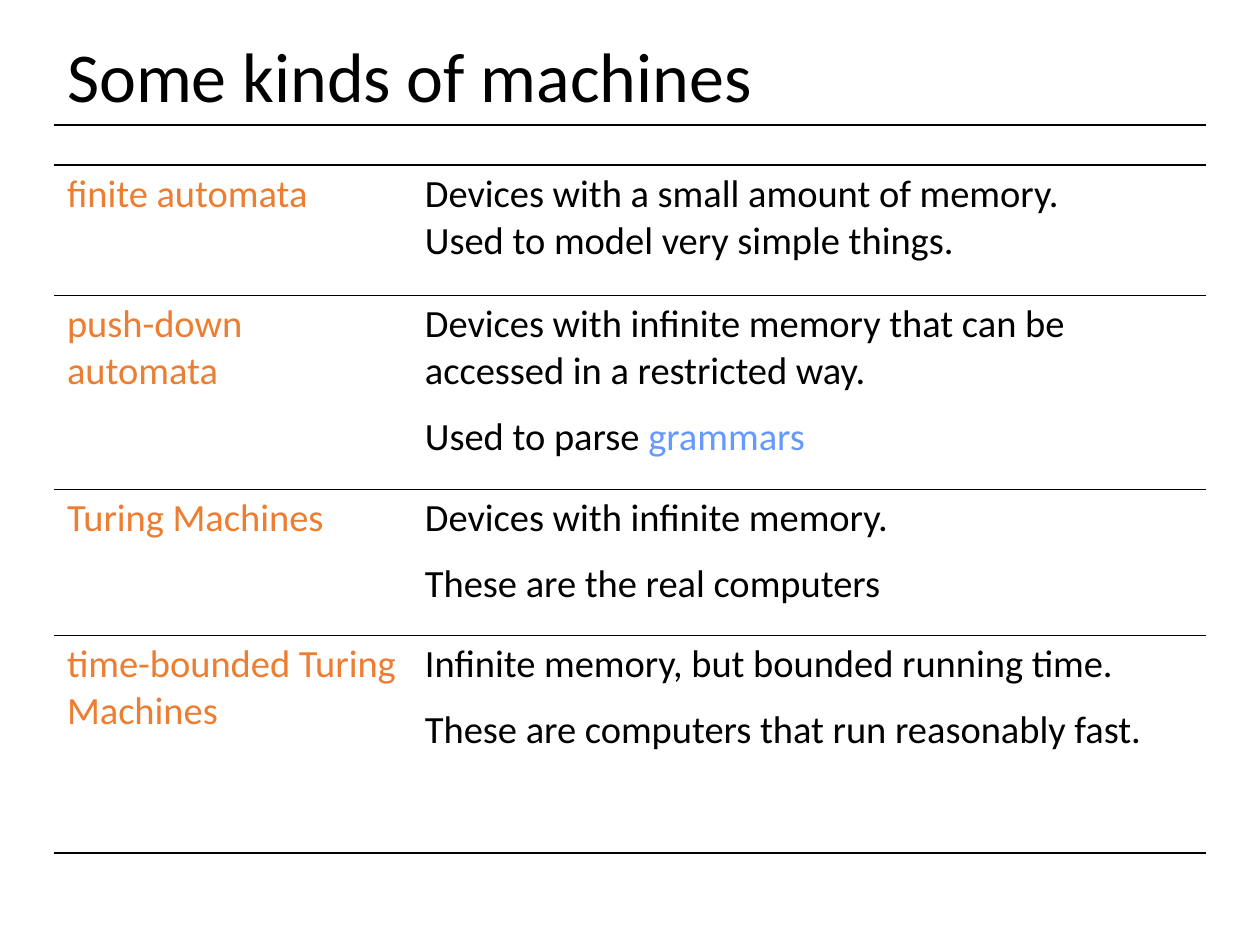
from dataclasses import dataclass

from lxml import etree
from pptx import Presentation
from pptx.dml.color import RGBColor
from pptx.enum.shapes import MSO_CONNECTOR
from pptx.enum.text import MSO_ANCHOR
from pptx.oxml.ns import qn
from pptx.util import Emu, Pt

STRAIGHT = MSO_CONNECTOR.STRAIGHT
MIDDLE = MSO_ANCHOR.MIDDLE
TOP = MSO_ANCHOR.TOP
PX = 914400 / 126


@dataclass(frozen=True)
class Theme:
    font: str = "Calibri"
    ink: str = "000000"
    machine: str = "ED7D31"
    term: str = "6699FF"
    title_size: float = 40
    body_size: float = 22
    para_gap: float = 11
    title_rule: float = 0.75
    outer_rule: float = 1.08
    inner_rule: float = 0.45


THEME = Theme()
LEFT, WIDTH = 54, 1152
TITLE_TOP, TITLE_HEIGHT = 35, 90
TABLE_TOP = 165
COLUMN_WIDTHS = (358, 794)
ROW_HEIGHTS = (130, 194, 146, 218)
MARGINS = {"margin_left": 13, "margin_right": 13, "margin_top": 6, "margin_bottom": 6}

MACHINES = (
    ("finite automata", (
        (("Devices with a small amount of memory.\nUsed to model very simple things.", THEME.ink),),
    )),
    ("push-down automata", (
        (("Devices with infinite memory that can be accessed in a restricted way.", THEME.ink),),
        (("Used to parse ", THEME.ink), ("grammars", THEME.term)),
    )),
    ("Turing Machines", (
        (("Devices with infinite memory.", THEME.ink),),
        (("These are the real computers", THEME.ink),),
    )),
    ("time-bounded Turing Machines", (
        (("Infinite memory, but bounded running time.", THEME.ink),),
        (("These are computers that run reasonably fast.", THEME.ink),),
    )),
)


def px(length):
    return Emu(round(length * PX))


def apply(target, values):
    for name, value in values.items():
        setattr(target, name, value)


def apply_margins(target):
    apply(target, {name: px(length) for name, length in MARGINS.items()})


def add_span(para, text, color, size):
    for index, line in enumerate(text.split("\n")):
        if index:
            para.add_line_break()
        span = para.add_run()
        span.text = line
        apply(span.font, {"name": THEME.font, "size": Pt(size)})
        span.font.color.rgb = RGBColor.from_string(color)


def fill_text(frame, paragraphs, size, para_format):
    for index, spans in enumerate(paragraphs):
        para = frame.add_paragraph() if index else frame.paragraphs[0]
        apply(para, para_format)
        for text, color in spans:
            add_span(para, text, color, size)


def add_title(page, text):
    box = page.shapes.add_textbox(px(LEFT), px(TITLE_TOP), px(WIDTH), px(TITLE_HEIGHT))
    frame = box.text_frame
    apply(frame, {"word_wrap": True, "vertical_anchor": MIDDLE})
    apply_margins(frame)
    fill_text(frame, [[(text, THEME.ink)]], THEME.title_size, {"line_spacing": 0.9})


def add_rule(page, y):
    rule = page.shapes.add_connector(STRAIGHT, px(LEFT), px(y), px(LEFT + WIDTH), px(y))
    rule.line.width = Pt(THEME.title_rule)
    rule.line.color.rgb = RGBColor.from_string(THEME.ink)
    etree.SubElement(rule.element.spPr, qn("a:effectLst"))


def set_borders(cell, top, bottom):
    properties = cell._tc.get_or_add_tcPr()
    widths = {"a:lnL": 0, "a:lnR": 0, "a:lnT": top, "a:lnB": bottom}
    for index, (tag, width) in enumerate(widths.items()):
        border = etree.Element(qn(tag), w=str(Pt(width)))
        if width:
            fill = etree.SubElement(border, qn("a:solidFill"))
            etree.SubElement(fill, qn("a:srgbClr"), val=THEME.ink)
        else:
            etree.SubElement(border, qn("a:noFill"))
        properties.insert(index, border)


def fill_cell(cell, paragraphs, top, bottom):
    cell.fill.background()
    cell.vertical_anchor = TOP
    apply_margins(cell)
    fill_text(cell.text_frame, paragraphs, THEME.body_size, {"space_before": Pt(THEME.para_gap)})
    set_borders(cell, top, bottom)


def add_machine_table(page):
    frame = page.shapes.add_table(
        len(MACHINES), len(COLUMN_WIDTHS),
        px(LEFT), px(TABLE_TOP), px(WIDTH), px(sum(ROW_HEIGHTS)),
    )
    table = frame.table
    apply(table, {"first_row": False, "horz_banding": False})
    for column, width in zip(table.columns, COLUMN_WIDTHS):
        column.width = px(width)
    inner = [THEME.inner_rule] * (len(MACHINES) - 1)
    rules = [THEME.outer_rule, *inner, THEME.outer_rule]
    for index, (name, description) in enumerate(MACHINES):
        row = table.rows[index]
        row.height = px(ROW_HEIGHTS[index])
        contents = ([[(name, THEME.machine)]], description)
        for cell, paragraphs in zip(row.cells, contents):
            fill_cell(cell, paragraphs, rules[index], rules[index + 1])


def main():
    deck = Presentation()
    apply(deck, {"slide_width": px(1260), "slide_height": px(945)})
    page = deck.slides.add_slide(deck.slide_layouts[6])
    add_rule(page, TITLE_TOP + TITLE_HEIGHT)
    add_title(page, "Some kinds of machines")
    add_machine_table(page)
    deck.save("out.pptx")


if __name__ == "__main__":
    main()
